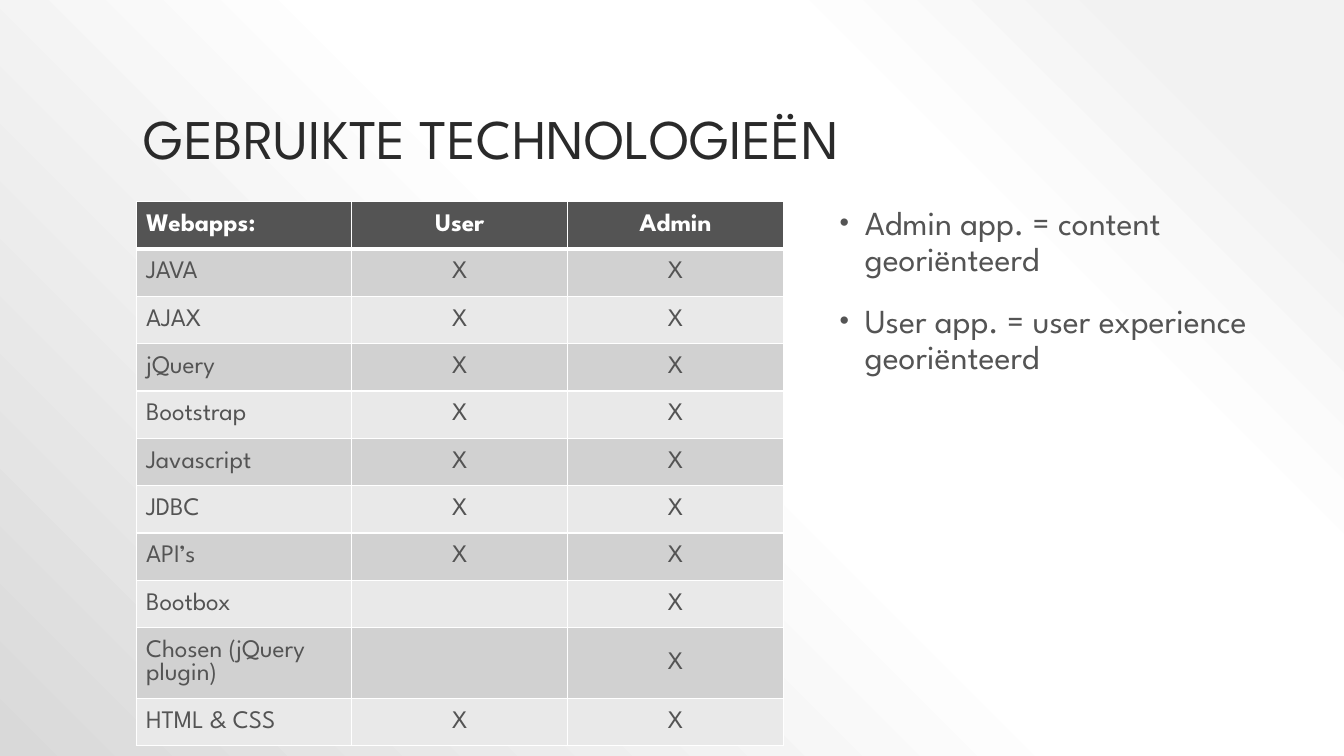
from dataclasses import dataclass

from lxml.etree import SubElement
from pptx import Presentation
from pptx.dml.color import RGBColor
from pptx.enum.text import MSO_ANCHOR, PP_ALIGN
from pptx.oxml import parse_xml
from pptx.oxml.ns import nsdecls, qn
from pptx.util import Inches, Pt


@dataclass(frozen=True)
class Theme:
    font: str = "League Spartan"
    title_size: int = 40
    body_size: int = 24
    table_size: int = 18
    title: str = "2A2A2A"
    text: str = "545454"
    white: str = "FFFFFF"
    bands: tuple = ("D1D1D1", "E9E9E9")
    backdrop: tuple = ((0, "F2F2F2"), (10, "F2F2F2"), (28, "FFFFFF"),
                       (48, "FFFFFF"), (100, "D9D9D9"))


THEME = Theme()
TITLE = "GEBRUIKTE TECHNOLOGIEËN"
HEADINGS = ("Webapps:", "User", "Admin")
TECHNOLOGIES = (
    ("JAVA", "X", "X"),
    ("AJAX", "X", "X"),
    ("jQuery", "X", "X"),
    ("Bootstrap", "X", "X"),
    ("Javascript", "X", "X"),
    ("JDBC", "X", "X"),
    ("API’s", "X", "X"),
    ("Bootbox", "", "X"),
    ("Chosen (jQuery plugin)", "", "X"),
    ("HTML & CSS", "X", "X"),
)
REMARKS = (
    "Admin app. = content georiënteerd",
    "User app. = user experience georiënteerd",
)
COLUMN_WIDTH = 2.14
ROW_HEIGHT = 0.47
TWO_LINE_HEIGHT = 0.67
TWO_LINE_ROW = 9


def set_background(slide):
    """Radial gradient centred on the top right corner."""
    stops = "".join(
        f'<a:gs pos="{position * 1000}"><a:srgbClr val="{color}"/></a:gs>'
        for position, color in THEME.backdrop)
    background = parse_xml(
        f'<p:bg {nsdecls("p", "a")}><p:bgPr><a:gradFill rotWithShape="1">'
        f'<a:gsLst>{stops}</a:gsLst><a:path path="circle">'
        '<a:fillToRect l="100000" t="0" r="0" b="100000"/></a:path>'
        '</a:gradFill><a:effectLst/></p:bgPr></p:bg>')
    slide.element.find(qn("p:cSld")).insert(0, background)


def style_font(font, size, color, bold=False):
    for name, value in {"name": THEME.font, "size": Pt(size), "bold": bold}.items():
        setattr(font, name, value)
    font.color.rgb = RGBColor.from_string(color)


def add_text_frame(slide, left, top, width, height, anchor):
    box = slide.shapes.add_textbox(*map(Inches, (left, top, width, height)))
    frame = box.text_frame
    frame.word_wrap = True
    frame.vertical_anchor = anchor
    return frame


def add_title(slide):
    frame = add_text_frame(slide, 1.33, 0.3, 10.83, 1.45, MSO_ANCHOR.BOTTOM)
    heading = frame.paragraphs[0]
    heading.text = TITLE
    heading.line_spacing = 0.9
    style_font(heading.font, THEME.title_size, THEME.title)


def add_bullet(paragraph):
    properties = paragraph._p.get_or_add_pPr()
    properties.set("marL", str(Inches(0.3)))
    properties.set("indent", str(Inches(-0.25)))
    color = SubElement(properties, qn("a:buClr"))
    SubElement(color, qn("a:srgbClr"), val=THEME.text)
    SubElement(properties, qn("a:buSzPct"), val="80000")
    SubElement(properties, qn("a:buFont"), typeface="Arial")
    SubElement(properties, qn("a:buChar"), char="•")


def add_remarks(slide):
    frame = add_text_frame(slide, 8.18, 2, 5.15, 4.75, MSO_ANCHOR.TOP)
    for index, remark in enumerate(REMARKS):
        paragraph = frame.add_paragraph() if index else frame.paragraphs[0]
        paragraph.text = remark
        add_bullet(paragraph)
        paragraph.line_spacing = 0.9
        if index:
            paragraph.space_before = Pt(18)
        style_font(paragraph.font, THEME.body_size, THEME.text)


def set_borders(cell, widths):
    properties = cell._tc.get_or_add_tcPr()
    for side, width in widths.items():
        line = SubElement(properties, qn(f"a:ln{side}"), w=str(Pt(width)))
        fill = SubElement(line, qn("a:solidFill"))
        SubElement(fill, qn("a:srgbClr"), val=THEME.white)


def fill_cell(cell, text, row, column):
    is_header = row == 0
    set_borders(cell, {"L": 1, "R": 1, "T": 3 if row == 1 else 1,
                       "B": 3 if is_header else 1})
    cell.fill.solid()
    cell.fill.fore_color.rgb = RGBColor.from_string(
        THEME.text if is_header else THEME.bands[(row - 1) % 2])
    cell.vertical_anchor = MSO_ANCHOR.MIDDLE
    paragraph = cell.text_frame.paragraphs[0]
    paragraph.text = text
    paragraph.alignment = PP_ALIGN.CENTER if column else PP_ALIGN.LEFT
    style_font(paragraph.font, THEME.table_size,
               THEME.white if is_header else THEME.text, is_header)


def add_technology_table(slide):
    rows = (HEADINGS, *TECHNOLOGIES)
    heights = [TWO_LINE_HEIGHT if row == TWO_LINE_ROW else ROW_HEIGHT
               for row in range(len(rows))]
    table = slide.shapes.add_table(
        len(rows), len(HEADINGS), Inches(1.35), Inches(2),
        Inches(COLUMN_WIDTH * len(HEADINGS)), Inches(sum(heights))).table
    for column in table.columns:
        column.width = Inches(COLUMN_WIDTH)
    for row, (texts, height) in enumerate(zip(rows, heights)):
        table.rows[row].height = Inches(height)
        for column, text in enumerate(texts):
            fill_cell(table.cell(row, column), text, row, column)


def main():
    presentation = Presentation()
    presentation.slide_width = Inches(13.33)
    presentation.slide_height = Inches(7.5)
    slide = presentation.slides.add_slide(presentation.slide_layouts[6])
    set_background(slide)
    add_title(slide)
    add_technology_table(slide)
    add_remarks(slide)
    presentation.save("out.pptx")


if __name__ == "__main__":
    main()
